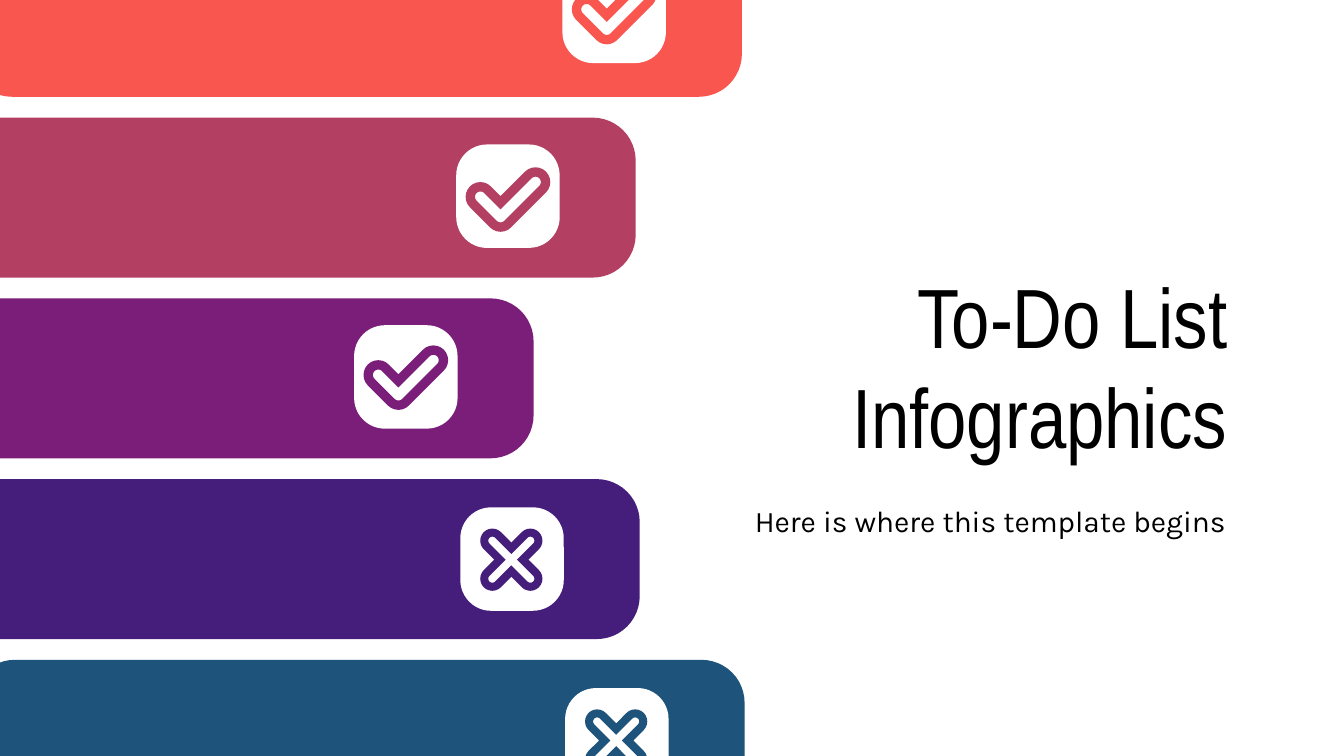
from dataclasses import dataclass
from math import cos, radians, sin, sqrt

from pptx import Presentation
from pptx.dml.color import RGBColor
from pptx.enum import shapes, text
from pptx.util import Inches, Pt

HUES = {"coral": "F9564F", "rose": "B33F62", "plum": "7B1E7A",
        "violet": "451E7B", "blue": "1E547B", "white": "FFFFFF", "black": "000000"}
PITCH, TOP = 1.345, -0.47
WIDE, HIGH, TILE = 5.75, 1.19, 0.77


@dataclass
class Bend:
    x: float
    y: float
    start: int
    end: int


@dataclass
class Task:
    hue: str
    right: float
    mark: list[Bend]
    drop: float = 0.2
    sink: float = 0


@dataclass
class Label:
    words: str
    box: tuple[float, float, float, float]
    font: str
    size: int


CHECK = [Bend(0.18, 0.37, 135, 315), Bend(0.33, 0.52, 270, 270),
         Bend(0.59, 0.26, 225, 405), Bend(0.33, 0.52, 45, 135)]
CROSS = [bend for arm in range(45, 360, 90) for bend in (
    Bend(0.38 + 0.2 * cos(radians(arm)), 0.39 + 0.2 * sin(radians(arm)), arm - 90, arm + 90),
    Bend(0.38, 0.39, arm + 45, arm + 45))]
RINGS = {id(CHECK): (0.11, 0.04), id(CROSS): (0.09, 0.03)}

TASKS = [Task("coral", 5.52, CHECK, 0.17), Task("rose", 4.73, CHECK, sink=0.02),
         Task("plum", 3.97, CHECK), Task("violet", 4.76, CROSS, 0.21),
         Task("blue", 5.54, CROSS, 0.21)]
LABELS = [Label("To-Do List Infographics", (3.95, 1.53, 5.28, 2.37), "Arial Narrow", 45),
          Label("Here is where this template begins", (4.91, 3.64, 4.31, 0.46), "Karla", 16)]


def paint(shape, hue: str) -> None:
    """Give a shape a flat fill with no line or shadow."""
    shape.shadow.inherit = False
    shape.fill.solid()
    shape.fill.fore_color.rgb = RGBColor.from_string(HUES[hue])
    shape.line.fill.background()


def block(slide, x: float, y: float, w: float, h: float, curve: float, hue: str) -> None:
    """Draw a rounded block whose corner radius is given in inches."""
    shape = slide.shapes.add_shape(shapes.MSO_SHAPE.ROUNDED_RECTANGLE,
                                   Inches(x), Inches(y), Inches(w), Inches(h))
    shape.adjustments[0] = curve / min(w, h)
    paint(shape, hue)


def trace(mark: list[Bend], x: float, y: float, rad: float) -> list[tuple[int, int]]:
    """Return the outline of a mark at one distance from its centre line."""
    dots = []
    for bend in mark:
        reach = rad * sqrt(2) if bend.start == bend.end else rad
        for turn in range(bend.start, bend.end + 1, 15):
            dots.append((Inches(x + bend.x + reach * cos(radians(turn))),
                         Inches(y + bend.y + reach * sin(radians(turn)))))
    return dots


def icon(slide, mark: list[Bend], x: float, y: float, hue: str) -> None:
    """Draw a mark as a ring between its outer and inner outlines."""
    outer, inner = (trace(mark, x, y, rad) for rad in RINGS[id(mark)])
    pen = slide.shapes.build_freeform(*outer[0])
    pen.add_line_segments(outer[1:], close=True)
    inner.reverse()
    pen.move_to(*inner[0])
    pen.add_line_segments(inner[1:], close=True)
    paint(pen.convert_to_shape(), hue)


def row(slide, task: Task, y: float) -> None:
    """Draw one bar with its tile and mark."""
    x = task.right - 1.335
    block(slide, task.right - WIDE, y, WIDE, HIGH, 0.32, task.hue)
    block(slide, x, y + task.drop, TILE, TILE, 0.23, "white")
    icon(slide, task.mark, x, y + task.drop + task.sink, task.hue)


def write(slide, label: Label) -> None:
    """Write a right-aligned label."""
    frame = slide.shapes.add_textbox(*map(Inches, label.box)).text_frame
    frame.word_wrap = True
    frame.vertical_anchor = text.MSO_ANCHOR.MIDDLE
    frame.margin_left = frame.margin_right = Inches(0.1)
    frame.margin_top = frame.margin_bottom = Inches(0.1)
    para = frame.paragraphs[0]
    para.text = label.words
    para.alignment = text.PP_ALIGN.RIGHT
    para.font.name = label.font
    para.font.size = Pt(label.size)
    para.font.color.rgb = RGBColor.from_string(HUES["black"])


def main() -> None:
    """Build the to-do list cover slide."""
    deck = Presentation()
    deck.slide_width = Inches(10)
    deck.slide_height = Inches(10 * 9 / 16)
    slide = deck.slides.add_slide(deck.slide_layouts[6])
    for label in LABELS:
        write(slide, label)
    for rank, task in enumerate(TASKS):
        row(slide, task, TOP + rank * PITCH)
    deck.save("out.pptx")


if __name__ == "__main__":
    main()
